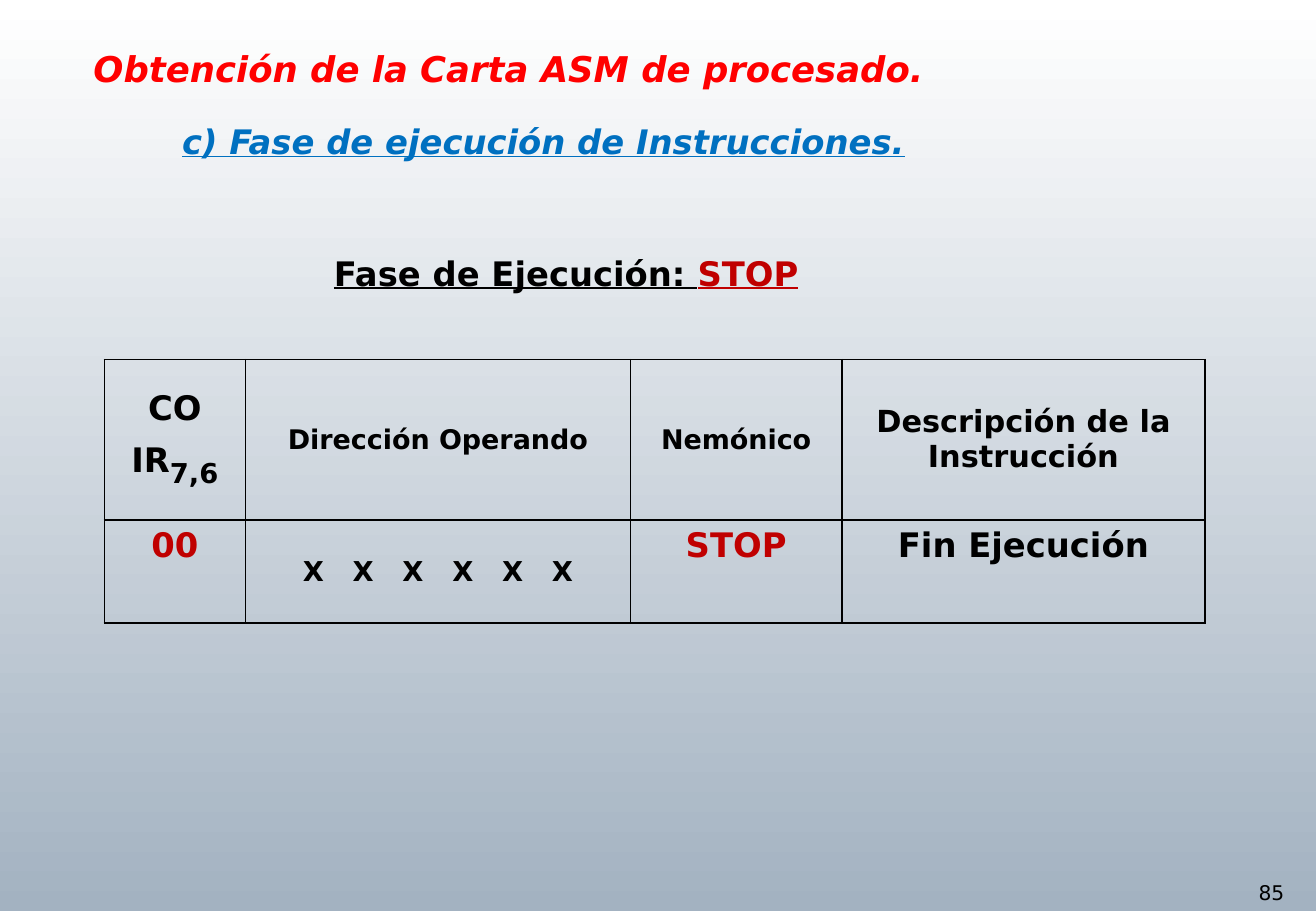
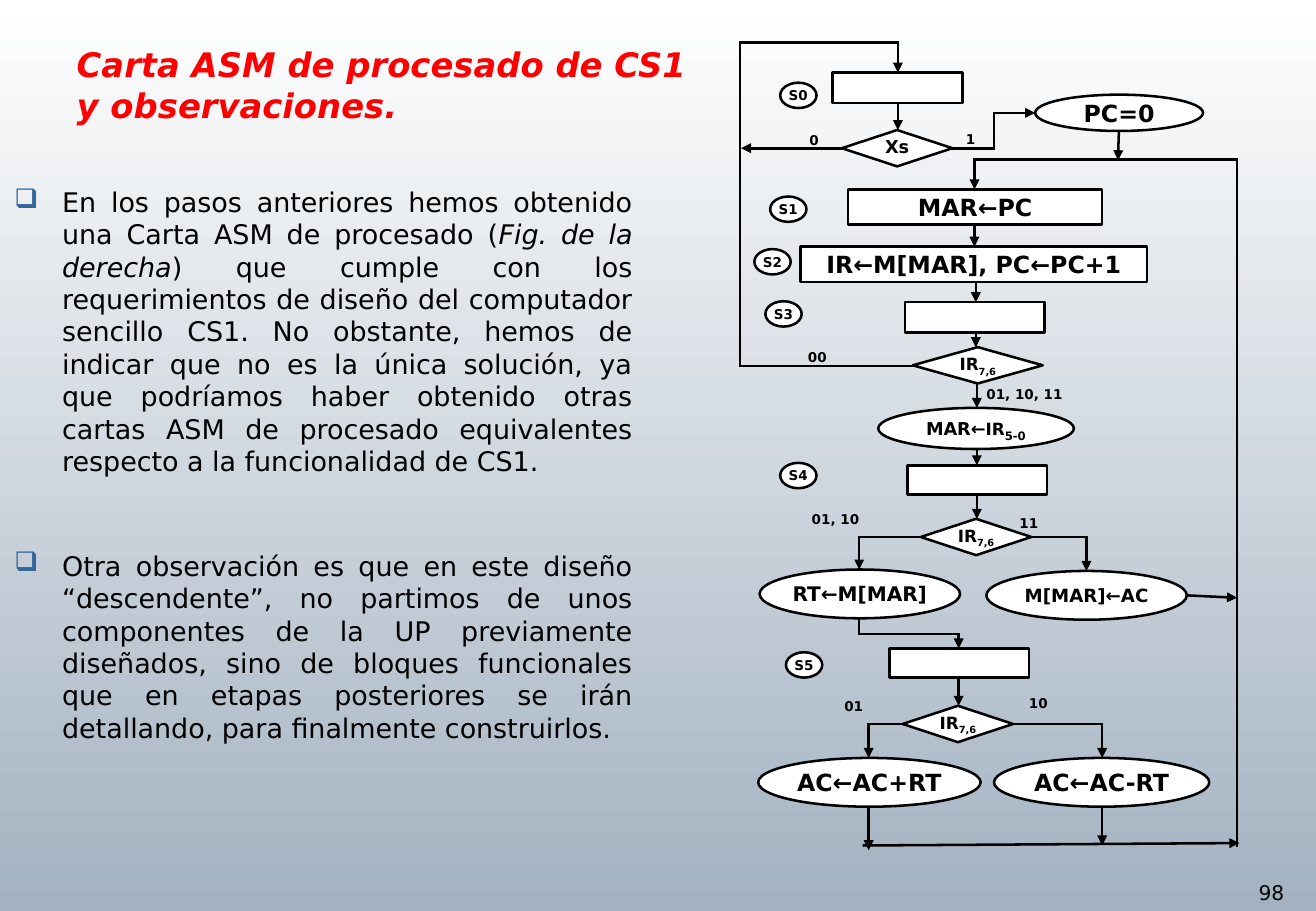
from lxml import etree
from pptx import Presentation
from pptx.dml.color import RGBColor
from pptx.enum import shapes, text
from pptx.oxml import ns
from pptx.util import Cm, Pt

FONT = "DejaVu Sans"
BLACK = RGBColor(0, 0, 0)
WHITE = RGBColor(255, 255, 255)
RED = RGBColor(255, 0, 0)
DARK_RED = RGBColor(0xC0, 0, 0)
BLUE = RGBColor(0, 0x70, 0xC0)
GREY_BLUE = RGBColor(0xA3, 0xB2, 0xC1)
RECT = shapes.MSO_SHAPE.RECTANGLE
OVAL = shapes.MSO_SHAPE.OVAL
DECISION = shapes.MSO_SHAPE.FLOWCHART_DECISION
LINE_WIDTH = Pt(1.5)


def add_run(p, words, size, color=BLACK, bold=True, italic=False, underline=False, base=0):
    r = p.add_run()
    r.text = words
    r.font.name = FONT
    r.font.size = Pt(size)
    r.font.color.rgb = color
    r.font.bold = bold
    r.font.italic = italic
    r.font.underline = underline
    if base:
        r._r.get_or_add_rPr().set("baseline", str(base * 1000))
    return r


def add_arrow(s, points):
    for start, end in zip(points, points[1:]):
        line = s.shapes.add_connector(
            shapes.MSO_CONNECTOR.STRAIGHT, *[Cm(v) for v in start + end])
        line.line.color.rgb = BLACK
        line.line.width = LINE_WIDTH
        sp_pr = line._element.spPr
        ln = sp_pr.find(ns.qn("a:ln"))
        ln.set("cap", "sq")
        if end == points[-1]:
            etree.SubElement(ln, ns.qn("a:tailEnd"), type="triangle")
        etree.SubElement(sp_pr, ns.qn("a:effectLst"))


prs = Presentation()
prs.slide_width = Cm(27.51)
prs.slide_height = Cm(19.05)

fill = prs.slide_master.background.fill
fill.gradient()
fill.gradient_angle = 270
for stop, color in zip(fill.gradient_stops, (WHITE, GREY_BLUE)):
    stop.color.rgb = color

pages = [
    ("85", ["Obtención de la Carta ASM de procesado."], 21, (1.7, 0.86, 20.27, 1.14)),
    ("98", ["Carta ASM de procesado de CS1", "y observaciones."], 20, (1.35, 0.79, 13.28, 1.96)),
]
for number, lines, size, place in pages:
    s = prs.slides.add_slide(prs.slide_layouts[5])
    title = s.shapes.title
    title.left, title.top, title.width, title.height = [Cm(v) for v in place]
    tf = title.text_frame
    tf.word_wrap = True
    tf.auto_size = text.MSO_AUTO_SIZE.NONE
    tf.vertical_anchor = text.MSO_ANCHOR.TOP
    for i, words in enumerate(lines):
        p = tf.add_paragraph() if i else tf.paragraphs[0]
        p.alignment = text.PP_ALIGN.LEFT
        p.space_before = Pt(0)
        add_run(p, words, size, RED, italic=True)
    tf = s.shapes.add_textbox(Cm(26.06), Cm(18.29), Cm(1.45), Cm(0.76)).text_frame
    add_run(tf.paragraphs[0], number, 12, bold=False)

table_slide, chart_slide = prs.slides

headings = [
    ((3.56, 2.41, 16.87, 1.12),
     [("c) Fase de ejecución de Instrucciones.", BLUE, True)]),
    ((6.73, 5.16, 12.93, 1.12),
     [("Fase de Ejecución: ", BLACK, False), ("STOP", DARK_RED, False)]),
]
for place, runs in headings:
    tf = table_slide.shapes.add_textbox(*[Cm(v) for v in place]).text_frame
    tf.word_wrap = True
    for words, color, italic in runs:
        add_run(tf.paragraphs[0], words, 20, color, italic=italic, underline=True)

table = table_slide.shapes.add_table(2, 4, Cm(2.18), Cm(7.52), Cm(23.01), Cm(5.51)).table
table.first_row = False
table.horz_banding = False
for column, width in zip(table.columns, (2.95, 8.05, 4.42, 7.59)):
    column.width = Cm(width)
for row, height in zip(table.rows, (3.35, 2.16)):
    row.height = Cm(height)

cells = [
    [[[("CO", 20)], [("IR", 20), ("7,6", 28, BLACK, -25)]],
     [[("Dirección Operando", 16)]],
     [[("Nemónico", 16)]],
     [[("Descripción de la Instrucción", 18)]]],
    [[[("00", 20, DARK_RED)]],
     [[("X X X X X X", 28, BLACK, -25)]],
     [[("STOP", 20, DARK_RED)]],
     [[("Fin Ejecución", 20)]]],
]
for row, row_cells in enumerate(cells):
    for col, paragraphs in enumerate(row_cells):
        cell = table.cell(row, col)
        cell.vertical_anchor = text.MSO_ANCHOR.TOP if row else text.MSO_ANCHOR.MIDDLE
        tc_pr = cell._tc.get_or_add_tcPr()
        for side in ("a:lnL", "a:lnR", "a:lnT", "a:lnB"):
            ln = etree.SubElement(tc_pr, ns.qn(side), w=str(Pt(1)))
            solid = etree.SubElement(ln, ns.qn("a:solidFill"))
            etree.SubElement(solid, ns.qn("a:srgbClr"), val=str(BLACK))
        cell.fill.background()
        for i, runs in enumerate(paragraphs):
            p = cell.text_frame.add_paragraph() if i else cell.text_frame.paragraphs[0]
            p.alignment = text.PP_ALIGN.CENTER
            for words, size, *rest in runs:
                color, base = (rest + [BLACK, 0][len(rest):])
                add_run(p, words, size, color, base=base)
operand_run = table.cell(1, 1).text_frame.paragraphs[0].runs[0]
operand_run._r.get_or_add_rPr().set("spc", "570")

tf = chart_slide.shapes.add_textbox(Cm(0.2), Cm(3.78), Cm(13.64), Cm(14.96)).text_frame
tf.word_wrap = True
tf.margin_left, tf.margin_top, tf.margin_right, tf.margin_bottom = Cm(0.1), Cm(0.1), Cm(0.61), Cm(0.13)
observations = [
    [("En los pasos anteriores hemos obtenido una Carta ASM de procesado (", False),
     ("Fig. de la derecha", True),
     (") que cumple con los requerimientos de diseño del computador sencillo CS1. "
      "No obstante, hemos de indicar que no es la única solución, ya que podríamos haber "
      "obtenido otras cartas ASM de procesado equivalentes respecto a la funcionalidad de CS1.", False)],
    [("Otra observación es que en este diseño “descendente”, no partimos de unos componentes "
      "de la UP previamente diseñados, sino de bloques funcionales que en etapas posteriores "
      "se irán detallando, para finalmente construirlos.", False)],
]
for i, runs in enumerate(observations):
    p = tf.add_paragraph() if i else tf.paragraphs[0]
    p.alignment = text.PP_ALIGN.JUSTIFY
    p.space_after = Pt(12)
    if i:
        p.space_before = Pt(31)
    p_pr = p._p.get_or_add_pPr()
    p_pr.set("marL", str(Cm(1)))
    p_pr.set("indent", str(-Cm(1)))
    bullet_color = etree.SubElement(p_pr, ns.qn("a:buClr"))
    etree.SubElement(bullet_color, ns.qn("a:srgbClr"), val="336699")
    etree.SubElement(p_pr, ns.qn("a:buChar"), char="❑")
    for words, italic in runs:
        add_run(p, words, 16, bold=False, italic=italic)

arrows = [
    [(18.77, 2.16), (18.77, 2.72)],
    [(20.37, 4.7), (20.37, 5.16)],
    [(20.4, 5.89), (20.4, 6.32)],
    [(20.4, 6.96), (20.4, 7.26)],
    [(20.42, 8.03), (20.42, 8.53)],
    [(20.42, 9.4), (20.42, 9.73)],
    [(20.42, 10.34), (20.42, 10.85)],
    [(20.04, 14.17), (20.04, 14.76)],
    [(17.6, 3.1), (15.49, 3.1)],
    [(19.91, 3.1), (20.78, 3.1), (20.78, 2.36), (21.64, 2.36)],
    [(23.39, 2.74), (23.37, 3.35)],
    [(19.08, 7.65), (15.47, 7.65), (15.47, 0.89), (18.77, 0.89), (18.77, 1.52)],
    [(19.25, 11.23), (17.96, 11.23), (17.96, 11.91)],
    [(21.56, 11.23), (22.71, 11.23), (22.71, 11.94)],
    [(17.96, 12.93), (17.96, 13.26), (20.04, 13.26), (20.04, 13.56)],
    [(18.87, 15.14), (18.16, 15.14), (18.16, 15.85)],
    [(21.18, 15.14), (23.04, 15.14), (23.04, 15.85)],
    [(18.16, 16.87), (18.16, 17.78)],
    [(23.04, 16.87), (23.04, 17.68)],
    [(18.06, 17.68), (25.91, 17.63)],
    [(24.82, 12.45), (25.86, 12.5)],
    [(25.86, 17.68), (25.86, 3.33), (20.37, 3.33), (20.37, 3.96)],
]
for points in arrows:
    add_arrow(chart_slide, points)

ir_bits = [("IR", 10), ("7,6", 10, -25)]
nodes = [
    (RECT, 17.4, 1.52, 2.72, 0.64, []),
    (DECISION, 17.6, 2.72, 2.31, 0.76, [("Xs", 10.5)]),
    (OVAL, 21.64, 1.98, 3.51, 0.76, [("PC=0", 14)]),
    (RECT, 17.73, 3.96, 5.31, 0.74, [("MAR←PC", 14)]),
    (RECT, 16.74, 5.16, 7.24, 0.74, [("IR←M[MAR], PC←PC+1", 14)]),
    (RECT, 18.92, 6.32, 2.92, 0.64, []),
    (DECISION, 19.08, 7.26, 2.72, 0.76, ir_bits),
    (OVAL, 18.36, 8.53, 4.09, 0.86, [("MAR←", 10.5), ("IR", 10), ("5-0", 12, -25)]),
    (RECT, 18.97, 9.73, 2.92, 0.61, []),
    (DECISION, 19.25, 10.85, 2.31, 0.76, ir_bits),
    (OVAL, 15.88, 11.91, 4.19, 1.02, [("RT←M[MAR]", 11.9)]),
    (OVAL, 20.62, 11.94, 4.19, 1.02, [("M[MAR]←AC", 10.8)]),
    (RECT, 18.59, 13.56, 2.92, 0.61, []),
    (DECISION, 18.87, 14.76, 2.31, 0.76, ir_bits),
    (OVAL, 15.85, 15.85, 4.65, 1.02, [("AC←AC+RT", 14)]),
    (OVAL, 20.78, 15.85, 4.5, 1.02, [("AC←AC-RT", 14)]),
]
states = [(16.31, 1.73), (16.1, 4.11), (15.77, 5.21), (16, 6.3), (16.31, 9.68), (16.43, 13.64)]
for i, (left, top) in enumerate(states):
    nodes.append((OVAL, left, top, 0.76, 0.53, [(f"S{i}", 8)]))

for kind, left, top, width, height, runs in nodes:
    sp = chart_slide.shapes.add_shape(kind, Cm(left), Cm(top), Cm(width), Cm(height))
    sp.shadow.inherit = False
    sp.fill.solid()
    sp.fill.fore_color.rgb = WHITE
    sp.line.color.rgb = BLACK
    sp.line.width = LINE_WIDTH
    tf = sp.text_frame
    tf.margin_left = tf.margin_top = tf.margin_right = tf.margin_bottom = 0
    tf.vertical_anchor = text.MSO_ANCHOR.MIDDLE
    tf.word_wrap = False
    p = tf.paragraphs[0]
    p.alignment = text.PP_ALIGN.CENTER
    if kind == DECISION or len(runs) > 1:
        p.line_spacing = 0.8
    for words, size, *base in runs:
        add_run(p, words, size, base=sum(base))

labels = [
    ("0", 16.92, 2.77, 0.36), ("1", 20.19, 2.74, 0.36),
    ("00", 16.89, 7.29, 0.89), ("01, 10, 11", 20.62, 8.08, 2.64),
    ("01, 10", 16.97, 10.69, 1.65), ("11", 21.31, 10.77, 0.71),
    ("01", 17.65, 14.6, 0.71), ("10", 21.51, 14.53, 0.71),
]
for words, left, top, width in labels:
    tf = chart_slide.shapes.add_textbox(Cm(left), Cm(top), Cm(width), Cm(0.38)).text_frame
    tf.margin_left = tf.margin_top = tf.margin_right = tf.margin_bottom = 0
    tf.word_wrap = True
    add_run(tf.paragraphs[0], words, 8)

prs.save("out.pptx")
